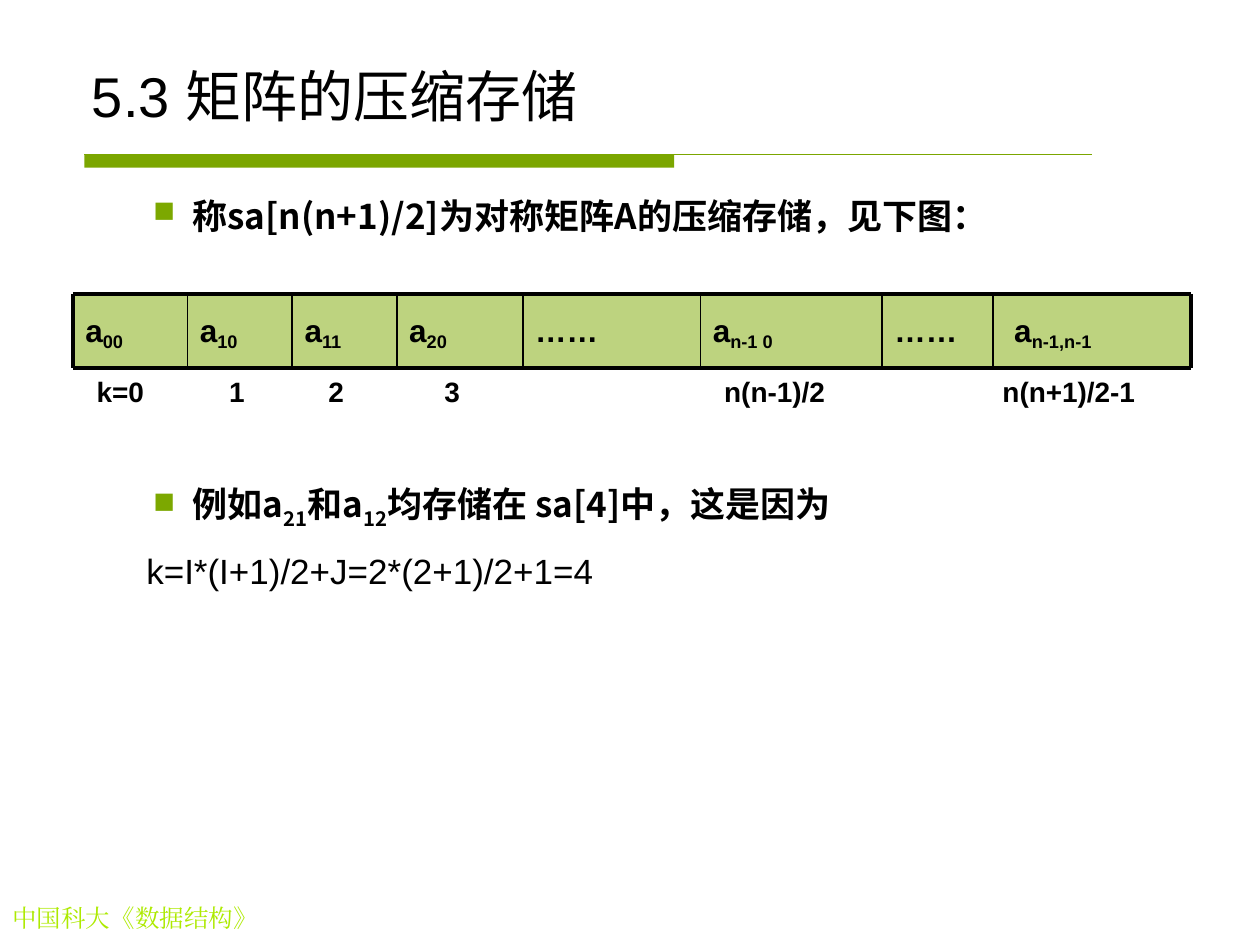
from lxml.etree import SubElement
from pptx import Presentation
from pptx.dml.color import RGBColor
from pptx.enum.shapes import MSO_CONNECTOR, MSO_SHAPE
from pptx.enum.text import MSO_ANCHOR, MSO_AUTO_SIZE, PP_ALIGN
from pptx.oxml.ns import qn
from pptx.util import Cm, Pt

BLACK = RGBColor(0x00, 0x00, 0x00)
GREEN = RGBColor(0x7B, 0xA6, 0x00)
LEAF = RGBColor(0x7C, 0xA8, 0x00)
LIME = RGBColor(0xAD, 0xEA, 0x00)
SANS = "Noto Sans CJK SC"


def write(para, runs, size, bold=False, color=BLACK):
    """Add runs of (text, font name, baseline shift in percent)."""
    look = {"size": Pt(size), "bold": bold}
    for text, name, shift in runs:
        run = para.add_run()
        run.text = text
        for key, value in {**look, "name": name}.items():
            setattr(run.font, key, value)
        run.font.color.rgb = color
        props = run._r.get_or_add_rPr()
        SubElement(props, qn("a:ea")).set("typeface", name)
        if shift:
            props.set("baseline", str(shift * 1000))


def rule(x1, y1, x2, y2, color, width):
    line = slide.shapes.add_connector(
        MSO_CONNECTOR.STRAIGHT, Cm(x1), Cm(y1), Cm(x2), Cm(y2))
    line.line.color.rgb = color
    line.line.width = Pt(width)
    SubElement(line._element.spPr, qn("a:effectLst"))


deck = Presentation()
deck.slide_width, deck.slide_height = Cm(25.4), Cm(19.05)
slide = deck.slides.add_slide(deck.slide_layouts[5])
shapes = slide.shapes

# Bar and rule under the title
bar = shapes.add_shape(MSO_SHAPE.RECTANGLE, Cm(1.7), Cm(3.12), Cm(11.89), Cm(0.26))
bar.shadow.inherit = False
bar.fill.solid()
bar.fill.fore_color.rgb = GREEN
bar.line.fill.background()
rule(1.7, 3.12, 22.02, 3.12, GREEN, 0.75)

# Footer
foot = shapes.add_textbox(Cm(0), Cm(18.08), Cm(7.9), Cm(0.86)).text_frame
foot.word_wrap = True
write(foot.paragraphs[0], [("中国科大《数据结构》", "Times New Roman", 0)], 14, color=LIME)

# Title
title = shapes.title
place = {"left": Cm(1.6), "top": Cm(0.84), "width": Cm(22.22), "height": Cm(1.88)}
for key, value in place.items():
    setattr(title, key, value)
frame = title.text_frame
frame.auto_size = MSO_AUTO_SIZE.NONE
frame.vertical_anchor = MSO_ANCHOR.BOTTOM
frame.paragraphs[0].alignment = PP_ALIGN.LEFT
write(frame.paragraphs[0], [("5.3 ", "Arial", 0), ("矩阵的压缩存储", SANS, 0)], 32)

# Bullets and formula: runs, space before
body = shapes.add_textbox(Cm(1.57), Cm(3.79), Cm(22.56), Cm(13.79)).text_frame
body.word_wrap = True
points = [
    ([("称sa[n(n+1)/2]为对称矩阵A的压缩存储，见下图：", SANS, 0)], 0),
    ([("例如a", SANS, 0), ("21", SANS, -25), ("和a", SANS, 0), ("12", SANS, -25),
      ("均存储在 sa[4]中，这是因为", SANS, 0)], 141),
]
for i, (runs, gap) in enumerate(points):
    para = body.add_paragraph() if i else body.paragraphs[0]
    props = para._p.get_or_add_pPr()
    props.set("marL", str(Cm(2.06)))
    props.set("indent", str(-Cm(0.79)))
    tint = SubElement(props, qn("a:buClr"))
    SubElement(tint, qn("a:srgbClr")).set("val", str(LEAF))
    SubElement(props, qn("a:buSzPct")).set("val", "85000")
    SubElement(props, qn("a:buChar")).set("char", "■")
    if gap:
        para.space_before = Pt(gap)
    write(para, runs, 20, bold=True)
para = body.add_paragraph()
para._p.get_or_add_pPr().set("marL", str(Cm(1.13)))
para.space_before = Pt(11)
write(para, [("k=I*(I+1)/2+J=2*(2+1)/2+1=4", "Arial", 0)], 20)

# Array cells
edges = [1.47, 3.78, 5.89, 8, 10.54, 14.12, 17.78, 20.02, 24]
top, base = 5.93, 7.41
cells = [("a", "00"), ("a", "10"), ("a", "11"), ("a", "20"), ("……", ""),
         ("a", "n-1 0"), ("……", ""), (" a", "n-1,n-1")]
for left, right, (name, index) in zip(edges, edges[1:], cells):
    cell = shapes.add_shape(
        MSO_SHAPE.RECTANGLE, Cm(left), Cm(top), Cm(right - left), Cm(base - top))
    cell.shadow.inherit = False
    cell.fill.solid()
    cell.fill.fore_color.rgb = LEAF
    shade = cell._element.spPr.find(".//" + qn("a:srgbClr"))
    SubElement(shade, qn("a:alpha")).set("val", "50000")
    cell.line.fill.background()
    frame = cell.text_frame
    frame.vertical_anchor = MSO_ANCHOR.TOP
    frame.margin_top = Cm(0.34)
    para = frame.paragraphs[0]
    para.alignment = PP_ALIGN.LEFT
    runs = [(name, "Arial", 0)]
    if index:
        runs.append((index, "Arial", -20))
    write(para, runs, 18, bold=True)

# Array lines, heavier around the outside
for y in (top, base):
    rule(edges[0], y, edges[-1], y, BLACK, 2.25)
for x in edges:
    rule(x, top, x, base, BLACK, 2.25 if x in (edges[0], edges[-1]) else 1)

# Positions under the array, set on tab stops
frame = shapes.add_textbox(Cm(1.7), Cm(7.42), Cm(22.66), Cm(0.94)).text_frame
frame.word_wrap = True
para = frame.paragraphs[0]
tabs = SubElement(para._p.get_or_add_pPr(), qn("a:tabLst"))
for stop in (2.67, 4.67, 7.01, 12.65, 18.26):
    tab = SubElement(tabs, qn("a:tab"))
    tab.set("pos", str(Cm(stop)))
    tab.set("algn", "l")
marks = ["k=0", "1", "2", "3", "n(n-1)/2", "n(n+1)/2-1"]
write(para, [("\t".join(marks), "Arial", 0)], 16, bold=True)

deck.save("out.pptx")
